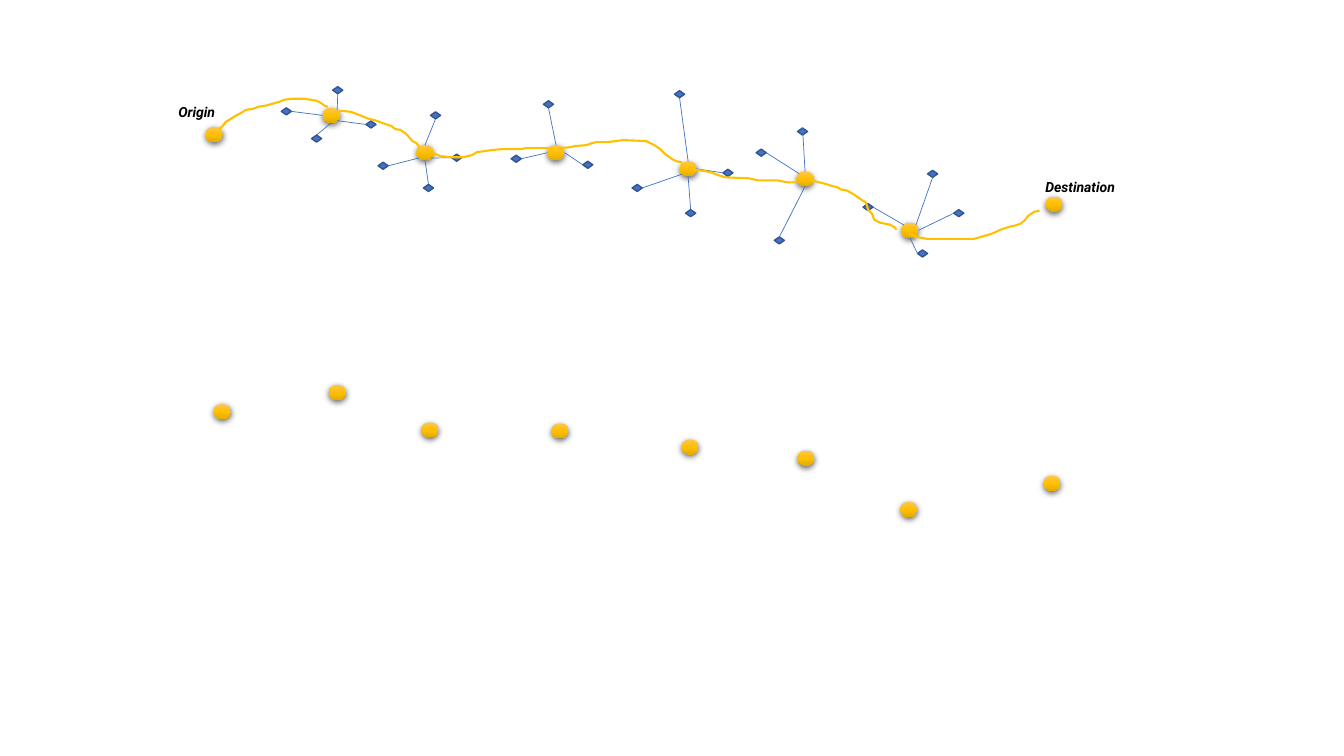
import pptx
import pptx.util
import pptx.oxml
import pptx.oxml.ns
import pptx.dml.color
import pptx.enum.shapes
import pptx.enum.text

Inches = pptx.util.Inches
SHAPE = pptx.enum.shapes.MSO_SHAPE

DOT_SIZE = (0.17, 0.15)
DIAMOND_SIZE = (0.1, 0.07)
GOLD, BLUE, NAVY, BLACK = "FFC000", "4472C4", "325491", "000000"
GOLD_STOPS = [(0, "FFC64B"), (50, GOLD), (100, "E3AB00")]

LOWER_DOTS = [(2.12, 4.01), (3.26, 3.82), (4.18, 4.19), (5.47, 4.2),
              (6.76, 4.36), (7.91, 4.47), (8.93, 4.98), (10.35, 4.72)]
ROUTE_ENDS = [(2.04, 1.26), (10.37, 1.95)]
HUBS = [
    ((3.2, 1.07), [((3.3, 0.86), "S", "NE"), ((3.63, 1.2), "W", "SE"),
                   ((3.09, 1.34), "N", "S"), ((2.79, 1.07), "E", "W")]),
    ((4.13, 1.44), [((3.75, 1.61), "E", "SW"), ((4.27, 1.11), "S", "N"),
                    ((4.48, 1.53), "W", "SE"), ((4.2, 1.83), "N", "S")]),
    ((5.43, 1.44), [((5.39, 1), "S", "N"), ((5.07, 1.54), "E", "W"),
                    ((5.78, 1.6), "W", "E")]),
    ((6.74, 1.6), [((6.69, 0.9), "S", "N"), ((6.8, 2.08), "N", "S"),
                   ((6.27, 1.83), "E", "SW"), ((7.17, 1.68), "W", "E")]),
    ((7.9, 1.7), [((7.5, 1.48), "E", "NW"), ((7.91, 1.27), "N", "N"),
                  ((7.68, 2.35), "N", "S")]),
    ((8.94, 2.21), [((8.56, 2.02), "E", "NW"), ((9.2, 1.69), "S", "NE"),
                    ((9.46, 2.08), "W", "E"), ((9.1, 2.48), "W", "S")]),
]
COMPASS = {"N": (0, -1), "E": (1, 0), "S": (0, 1), "W": (-1, 0),
           "NE": (0.7, -0.7), "SE": (0.7, 0.7), "SW": (-0.7, 0.7), "NW": (-0.7, -0.7)}

ROUTE_UNIT = Inches(0.01)
ROUTE = [
    [(217, 128), (220, 126), (224, 121), (232, 116), (241, 111), (244, 109), (251, 108),
     (256, 106), (263, 105), (270, 103), (277, 101), (282, 99), (290, 98), (302, 98),
     (314, 100), (318, 102), (322, 105), (325, 106)],
    [(335, 111), (339, 110), (348, 111), (356, 114), (361, 116), (366, 118), (371, 119),
     (379, 122), (388, 125), (392, 128), (397, 129), (403, 133), (409, 140), (413, 142),
     (416, 146)],
    [(427, 150), (430, 152), (437, 155), (448, 156), (459, 156), (468, 154), (473, 151),
     (487, 149), (497, 148), (517, 148), (521, 147), (543, 147), (549, 148), (545, 149)],
    [(553, 148), (556, 147), (566, 146), (570, 145), (582, 144), (587, 142), (592, 141),
     (603, 141), (618, 139), (641, 140), (649, 144), (655, 148), (660, 153), (664, 156),
     (667, 158), (671, 160), (676, 161), (676, 162)],
    [(684, 168), (694, 169), (700, 170), (705, 171), (713, 174), (720, 176), (743, 177),
     (752, 179), (771, 179), (781, 181), (790, 181)],
    [(801, 178), (813, 181), (821, 183), (823, 184), (831, 186), (834, 188), (840, 189),
     (847, 193), (854, 198), (859, 201), (861, 208), (865, 212), (867, 218), (873, 221),
     (883, 223), (888, 226), (889, 228)],
    [(900, 232), (905, 233), (908, 235), (920, 237), (957, 237), (966, 237), (973, 235),
     (980, 233), (986, 231), (992, 228), (1001, 225), (1006, 224), (1012, 222),
     (1016, 219), (1020, 214), (1026, 210), (1031, 209)],
]

LABELS = [("Origin", (1.67, 0.98, 0.58, 0.27)), ("Destination", (10.27, 1.72, 0.89, 0.27))]
LABEL_FONT = {"name": "Roboto", "size": pptx.util.Pt(10), "bold": True, "italic": True}


def color(value):
    return pptx.dml.color.RGBColor.from_string(value)


def add_xml(shape, tag, content=""):
    space = pptx.oxml.ns.nsdecls("a")
    shape._element.spPr.append(pptx.oxml.parse_xml(f"<a:{tag} {space}>{content}</a:{tag}>"))


def set_line(shape, value, width):
    shape.line.color.rgb = color(value)
    shape.line.width = pptx.util.Pt(width)


def add_dot(group, place):
    dot = group.shapes.add_shape(SHAPE.OVAL, *map(Inches, place + DOT_SIZE))
    stops = "".join(f'<a:gs pos="{at * 1000}"><a:srgbClr val="{value}"/></a:gs>'
                    for at, value in GOLD_STOPS)
    add_xml(dot, "gradFill", f'<a:gsLst>{stops}</a:gsLst><a:lin ang="5400000" scaled="0"/>')
    add_xml(dot, "effectLst",
            '<a:outerShdw blurRad="57150" dist="19050" dir="5400000" algn="ctr" rotWithShape="0">'
            f'<a:srgbClr val="{BLACK}"><a:alpha val="63000"/></a:srgbClr></a:outerShdw>')
    dot.line.fill.background()


def add_diamond(group, place):
    diamond = group.shapes.add_shape(SHAPE.DIAMOND, *map(Inches, place + DIAMOND_SIZE))
    diamond.shadow.inherit = False
    diamond.fill.solid()
    diamond.fill.fore_color.rgb = color(BLUE)
    set_line(diamond, NAVY, 1)


def edge_point(place, size, side):
    return [Inches(start + length * (1 + step) / 2)
            for start, length, step in zip(place, size, COMPASS[side])]


def add_spoke(group, hub, diamond, diamond_side, hub_side):
    spoke = group.shapes.add_connector(
        pptx.enum.shapes.MSO_CONNECTOR.STRAIGHT,
        *edge_point(diamond, DIAMOND_SIZE, diamond_side),
        *edge_point(hub, DOT_SIZE, hub_side))
    set_line(spoke, BLUE, 0.5)
    add_xml(spoke, "effectLst")


def add_route_leg(group, points):
    builder = group.shapes.build_freeform(*points[0], scale=ROUTE_UNIT)
    builder.add_line_segments(points[1:], close=False)
    leg = builder.convert_to_shape()
    leg.shadow.inherit = False
    leg.fill.background()
    set_line(leg, GOLD, 1.5)


def add_label(group, text, place):
    box = group.shapes.add_textbox(*map(Inches, place))
    box.text_frame.word_wrap = False
    box.text_frame.auto_size = pptx.enum.text.MSO_AUTO_SIZE.SHAPE_TO_FIT_TEXT
    span = box.text_frame.paragraphs[0].add_run()
    span.text = text
    for name, value in LABEL_FONT.items():
        setattr(span.font, name, value)
    span.font.color.rgb = color(BLACK)


def main():
    deck = pptx.Presentation()
    deck.slide_width, deck.slide_height = Inches(13.33), Inches(7.5)
    page = deck.slides.add_slide(deck.slide_layouts[6])
    lower_row = page.shapes.add_group_shape()
    for place in LOWER_DOTS:
        add_dot(lower_row, place)
    route_map = page.shapes.add_group_shape()
    for place in ROUTE_ENDS + [hub for hub, spokes in HUBS]:
        add_dot(route_map, place)
    for hub, spokes in HUBS:
        for diamond, diamond_side, hub_side in spokes:
            add_diamond(route_map, diamond)
            add_spoke(route_map, hub, diamond, diamond_side, hub_side)
    for points in ROUTE:
        add_route_leg(route_map, points)
    for text, place in LABELS:
        add_label(route_map, text, place)
    deck.save("out.pptx")


if __name__ == "__main__":
    main()
